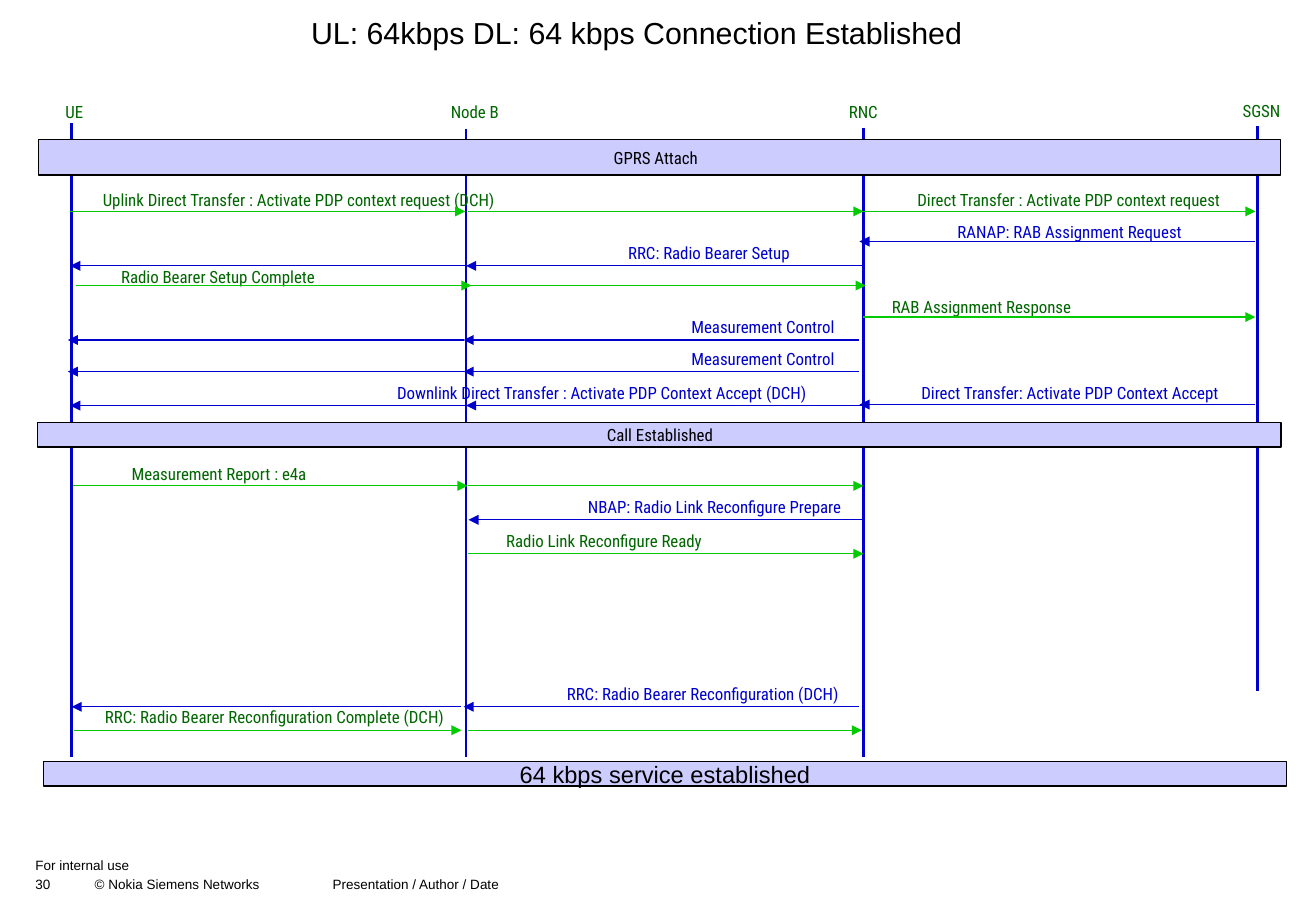
"""Builds a sequence chart of a 64 kbps packet connection between UE, Node B, RNC and SGSN."""
from dataclasses import dataclass
from typing import Optional

from lxml.etree import SubElement
from pptx import Presentation
from pptx.dml.color import RGBColor
from pptx.enum.shapes import MSO_CONNECTOR as Link, MSO_SHAPE as Preset
from pptx.enum.text import MSO_ANCHOR as Anchor, MSO_AUTO_SIZE as AutoSize, PP_ALIGN as Align
from pptx.oxml.ns import qn
from pptx.util import Cm, Pt

COLORS = {"black": "000000", "node": "006600", "uplink": "00CC00", "downlink": "0000CC", "band": "CCCCFF"}
LABEL_FONT, PAGE_FONT = "Roboto Condensed", "Arial"
LABEL_HEIGHT = 0.69


@dataclass(frozen=True)
class Label:
    text: str
    left: float
    top: float
    width: float


@dataclass(frozen=True)
class Lifeline:
    name: Label
    x: float
    top: float
    bottom: float


@dataclass(frozen=True)
class Message:
    label: Label
    uplink: bool
    y: float
    legs: tuple[tuple[float, float], ...]


@dataclass(frozen=True)
class Band:
    left: float
    top: float
    width: float
    height: float
    caption: Optional[Label] = None


UE_NODE, NODE_RNC, RNC_SGSN = (1.47, 9.75), (9.75, 18.03), (17.98, 26.26)
CONTROL_LEGS = ((9.7, 17.98), (1.42, 9.7))

LIFELINES = [
    Lifeline(Label("UE", 1.07, 2.01, 0.97), 1.5, 2.57, 15.82),
    Lifeline(Label("Node B", 9.07, 2.01, 1.73), 9.75, 2.69, 15.82),
    Lifeline(Label("RNC", 17.45, 2.01, 1.22), 18.06, 2.67, 15.82),
    Lifeline(Label("SGSN", 25.68, 1.98, 1.42), 26.31, 2.64, 14.45),
]

MESSAGES = [
    Message(Label("Uplink Direct Transfer : Activate PDP context request (DCH)", 1.14, 3.84, 10.21),
            True, 4.42, ((1.47, 9.73), (9.78, 18.06))),
    Message(Label("Direct Transfer : Activate PDP context request", 18.34, 3.84, 8.03),
            True, 4.42, (RNC_SGSN,)),
    Message(Label("RANAP: RAB Assignment Request", 19.38, 4.5, 5.99), False, 5.05, (RNC_SGSN,)),
    Message(Label("RRC: Radio Bearer Setup", 12.57, 4.95, 4.52), False, 5.56, (NODE_RNC, UE_NODE)),
    Message(Label("Radio Bearer Setup Complete", 1.88, 5.46, 5.36),
            True, 5.97, ((1.6, 9.86), (9.86, 18.11))),
    Message(Label("RAB Assignment Response", 18.08, 6.07, 4.9), True, 6.63, ((18.06, 26.26),)),
    Message(Label("Measurement Control", 13.89, 6.5, 4.14), False, 7.11, CONTROL_LEGS),
    Message(Label("Measurement Control", 13.89, 7.16, 4.14), False, 7.77, CONTROL_LEGS),
    Message(Label("Downlink Direct Transfer : Activate PDP Context Accept (DCH)", 7.29, 7.87, 10.59),
            False, 8.48, (NODE_RNC, UE_NODE)),
    Message(Label("Direct Transfer: Activate PDP Context Accept", 18.47, 7.87, 7.82),
            False, 8.46, (RNC_SGSN,)),
    Message(Label("Measurement Report : e4a", 2.13, 9.58, 4.9),
            True, 10.16, ((1.52, 9.78), (9.8, 18.06))),
    Message(Label("NBAP: Radio Link Reconfigure Prepare", 11.53, 10.26, 6.83),
            False, 10.87, ((9.8, 18.08),)),
    Message(Label("Radio Link Reconfigure Ready", 9.93, 10.97, 5.41), True, 11.58, ((9.8, 18.06),)),
    Message(Label("RRC: Radio Bearer Reconfiguration (DCH)", 11.07, 14.17, 7.26),
            False, 14.78, ((9.7, 17.98), (1.5, 9.65))),
    Message(Label("RRC: Radio Bearer Reconfiguration Complete (DCH)", 1.27, 14.66, 8.94),
            True, 15.27, ((1.55, 9.65), (9.78, 18.03))),
]

BANDS = [
    Band(0.81, 2.92, 25.98, 0.74, Label("GPRS Attach", 12.45, 2.97, 2.54)),
    Band(0.79, 8.84, 26.01, 0.51, Label("Call Established", 12.27, 8.76, 3.07)),
]
SERVICE_BAND = Band(0.91, 15.93, 26.01, 0.51)


def rgb(color: str) -> RGBColor:
    return RGBColor.from_string(COLORS[color])


def write(paragraph, text: str, size: float, font: str, color: str = "black") -> None:
    run = paragraph.add_run()
    run.text = text
    run.font.size, run.font.name = Pt(size), font
    run.font.color.rgb = rgb(color)


def draw_label(slide, label: Label, color: str) -> None:
    box = slide.shapes.add_textbox(Cm(label.left), Cm(label.top), Cm(label.width), Cm(LABEL_HEIGHT))
    frame = box.text_frame
    frame.word_wrap, frame.auto_size = False, AutoSize.SHAPE_TO_FIT_TEXT
    paragraph = frame.paragraphs[0]
    paragraph.alignment = Align.CENTER
    write(paragraph, label.text, 10, LABEL_FONT, color)


def draw_line(slide, start: tuple[float, float], end: tuple[float, float],
              color: str, width: float, arrow_end: Optional[str] = None) -> None:
    line = slide.shapes.add_connector(Link.STRAIGHT, *map(Cm, start + end))
    line.line.color.rgb = rgb(color)
    line.line.width = Pt(width)
    properties = line.element.spPr
    if arrow_end:
        SubElement(properties.find(qn("a:ln")), qn(f"a:{arrow_end}"), type="triangle")
    SubElement(properties, qn("a:effectLst"))


def draw_lifeline(slide, lifeline: Lifeline) -> None:
    draw_line(slide, (lifeline.x, lifeline.top), (lifeline.x, lifeline.bottom), "downlink", 1.5)
    draw_label(slide, lifeline.name, "node")


def draw_message(slide, message: Message) -> None:
    color, arrow_end = ("uplink", "tailEnd") if message.uplink else ("downlink", "headEnd")
    draw_label(slide, message.label, "node" if message.uplink else "downlink")
    for left, right in message.legs:
        draw_line(slide, (left, message.y), (right, message.y), color, 0.75, arrow_end)


def draw_band(slide, band: Band):
    bar = slide.shapes.add_shape(Preset.RECTANGLE, Cm(band.left), Cm(band.top), Cm(band.width), Cm(band.height))
    bar.shadow.inherit = False
    bar.fill.solid()
    bar.fill.fore_color.rgb = rgb("band")
    bar.line.color.rgb = rgb("black")
    bar.line.width = Pt(0.75)
    if band.caption:
        draw_label(slide, band.caption, "black")
    return bar


def draw_footer(slide, text: str, top: float, width: float, height: float, tabs: tuple[float, ...] = ()) -> None:
    frame = slide.shapes.add_textbox(Cm(0.74), Cm(top), Cm(width), Cm(height)).text_frame
    frame.word_wrap = True
    frame.margin_left = frame.margin_right = frame.margin_top = frame.margin_bottom = 0
    paragraph = frame.paragraphs[0]
    if tabs:
        stops = SubElement(paragraph._p.get_or_add_pPr(), qn("a:tabLst"))
        for position in tabs:
            SubElement(stops, qn("a:tab"), pos=str(Cm(position)), algn="l")
    write(paragraph, text, 8, PAGE_FONT)


def draw_title(slide, text: str) -> None:
    frame = slide.shapes.add_textbox(Cm(1.75), Cm(0.25), Cm(23.14), Cm(1.14)).text_frame
    frame.word_wrap = True
    heading = frame.paragraphs[0]
    heading.alignment, heading.line_spacing = Align.CENTER, 0.9
    write(heading, text, 18, PAGE_FONT)


def main() -> None:
    deck = Presentation()
    deck.slide_width, deck.slide_height = Cm(27.53), Cm(19.05)
    slide = deck.slides.add_slide(deck.slide_layouts[6])

    draw_footer(slide, "30\t© Nokia Siemens Networks\tPresentation / Author / Date", 18.31, 20.6, 0.43, (1.24, 6.22))
    draw_footer(slide, "For internal use", 17.93, 9.17, 0.38)
    draw_title(slide, "UL: 64kbps DL: 64 kbps Connection Established")
    for lifeline in LIFELINES:
        draw_lifeline(slide, lifeline)
    for message in MESSAGES:
        draw_message(slide, message)
    for band in BANDS:
        draw_band(slide, band)

    frame = draw_band(slide, SERVICE_BAND).text_frame
    frame.word_wrap, frame.vertical_anchor = False, Anchor.MIDDLE
    service = frame.paragraphs[0]
    service.alignment = Align.CENTER
    write(service, "64 kbps service established", 14, PAGE_FONT)

    deck.save("out.pptx")


if __name__ == "__main__":
    main()
